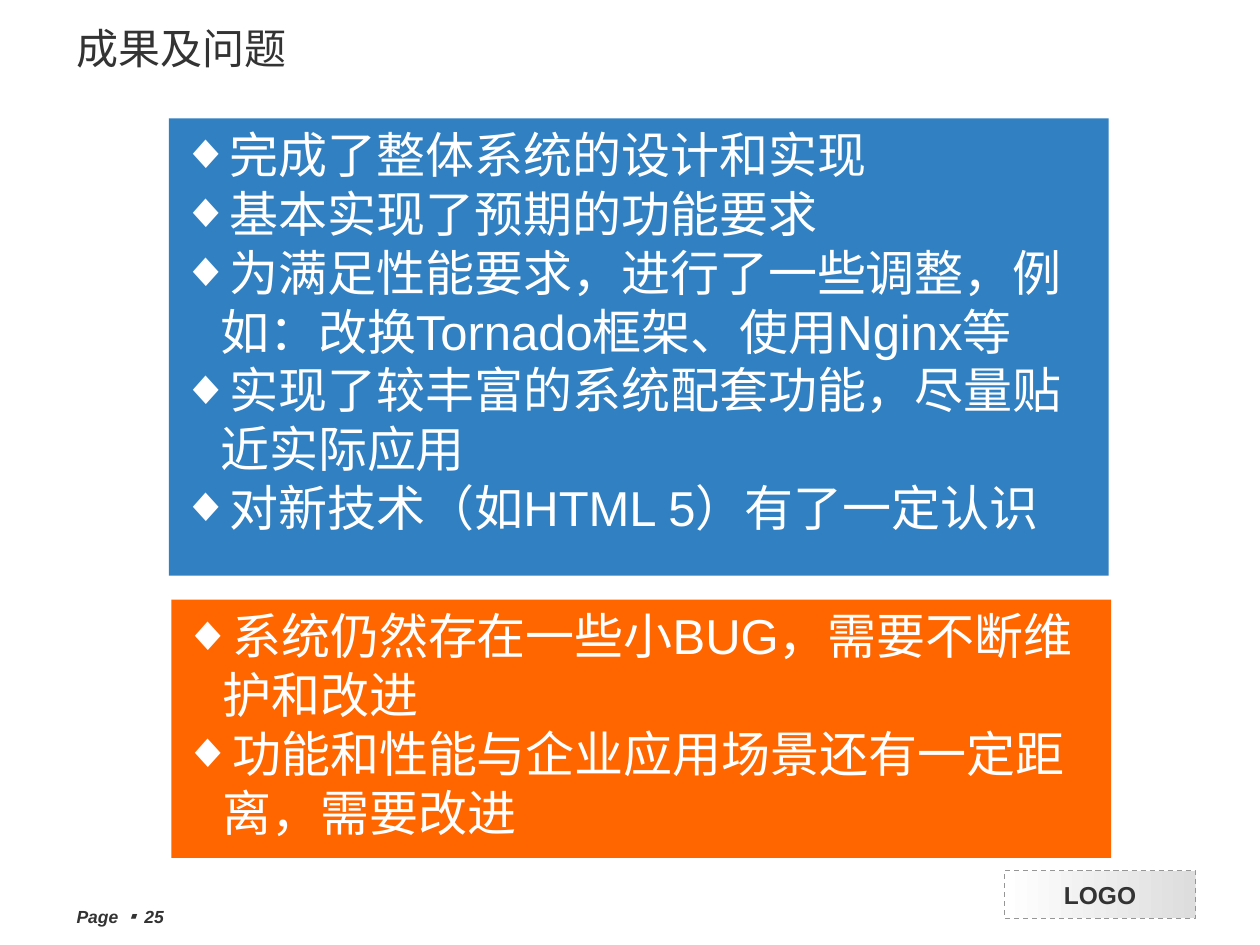
from lxml.etree import SubElement
from pptx import Presentation
from pptx.dml.color import RGBColor
from pptx.enum.dml import MSO_LINE
from pptx.enum.shapes import MSO_SHAPE
from pptx.enum.text import MSO_ANCHOR, PP_ALIGN
from pptx.oxml.ns import qn
from pptx.util import Inches, Pt

HUES = {"ink": "333333", "white": "FFFFFF", "blue": "3080C2",
        "orange": "FF6600", "gray": "DDDDDD", "edge": "969696"}

GAINS = ["完成了整体系统的设计和实现",
         "基本实现了预期的功能要求",
         "为满足性能要求，进行了一些调整，例如：改换Tornado框架、使用Nginx等",
         "实现了较丰富的系统配套功能，尽量贴近实际应用",
         "对新技术（如HTML 5）有了一定认识"]
FLAWS = ["系统仍然存在一些小BUG，需要不断维护和改进",
         "功能和性能与企业应用场景还有一定距离，需要改进"]


def hue(name):
    return RGBColor.from_string(HUES[name])


def style(font, tint, form):
    for key, value in {"name": "Arial", **form}.items():
        setattr(font, key, value)
    font.color.rgb = hue(tint)


def write(para, text, tint, **form):
    run = para.add_run()
    run.text = text
    style(run.font, tint, form)


def frame(slide, box, **form):
    text = slide.shapes.add_textbox(*map(Inches, box)).text_frame
    for key, value in {"word_wrap": True, **form}.items():
        setattr(text, key, value)
    return text


def block(slide, box):
    shape = slide.shapes.add_shape(MSO_SHAPE.RECTANGLE, *map(Inches, box))
    shape.shadow.inherit = False
    return shape


def bullet(para, tint):
    props = para._p.get_or_add_pPr()
    props.set("marL", str(Inches(0.31)))
    props.set("indent", str(-Inches(0.31)))
    color = SubElement(props, qn("a:buClr"))
    SubElement(color, qn("a:srgbClr"), val=HUES[tint])
    SubElement(props, qn("a:buFont"), typeface="Arial")
    SubElement(props, qn("a:buChar"), char="◆")


def title(slide, box):
    text = frame(slide, box, vertical_anchor=MSO_ANCHOR.MIDDLE)
    write(text.paragraphs[0], "成果及问题", "ink", size=Pt(24))


def panel(slide, box, fill, lines):
    shape = block(slide, box)
    shape.fill.solid()
    shape.fill.fore_color.rgb = hue(fill)
    shape.line.fill.background()
    text = shape.text_frame
    text.vertical_anchor = MSO_ANCHOR.TOP
    for i, line in enumerate(lines):
        para = text.add_paragraph() if i else text.paragraphs[0]
        para.alignment = PP_ALIGN.LEFT
        bullet(para, "white")
        write(para, line, "white", size=Pt(28))


def badge(slide, box):
    shape = block(slide, box)
    shape.fill.gradient()
    shape.fill.gradient_angle = 180
    for stop, tint in zip(shape.fill.gradient_stops, ("gray", "white")):
        stop.color.rgb = hue(tint)
    shape.line.color.rgb = hue("edge")
    shape.line.width = Pt(0.75)
    shape.line.dash_style = MSO_LINE.DASH
    text = shape.text_frame
    text.word_wrap = False
    text.vertical_anchor = MSO_ANCHOR.MIDDLE
    para = text.paragraphs[0]
    para.alignment = PP_ALIGN.CENTER
    write(para, "LOGO", "ink", size=Pt(14), bold=True)


def footer(slide, box):
    para = frame(slide, box).paragraphs[0]
    for text, face in (("Page ", "Arial"), ("▪ ", "Noto Sans CJK JP"), ("25", "Arial")):
        write(para, text, "ink", name=face, size=Pt(10), bold=True, italic=True)


def main():
    deck = Presentation()
    deck.slide_width, deck.slide_height = Inches(10), Inches(7.5)
    slide = deck.slides.add_slide(deck.slide_layouts[6])
    badge(slide, (7.97, 6.91, 1.52, 0.38))
    footer(slide, (0.51, 7.14, 1.57, 0.22))
    title(slide, (0.51, 0, 6.38, 0.76))
    panel(slide, (1.34, 0.94, 7.46, 3.63), "blue", GAINS)
    panel(slide, (1.36, 4.76, 7.46, 2.05), "orange", FLAWS)
    deck.save("out.pptx")


if __name__ == "__main__":
    main()
